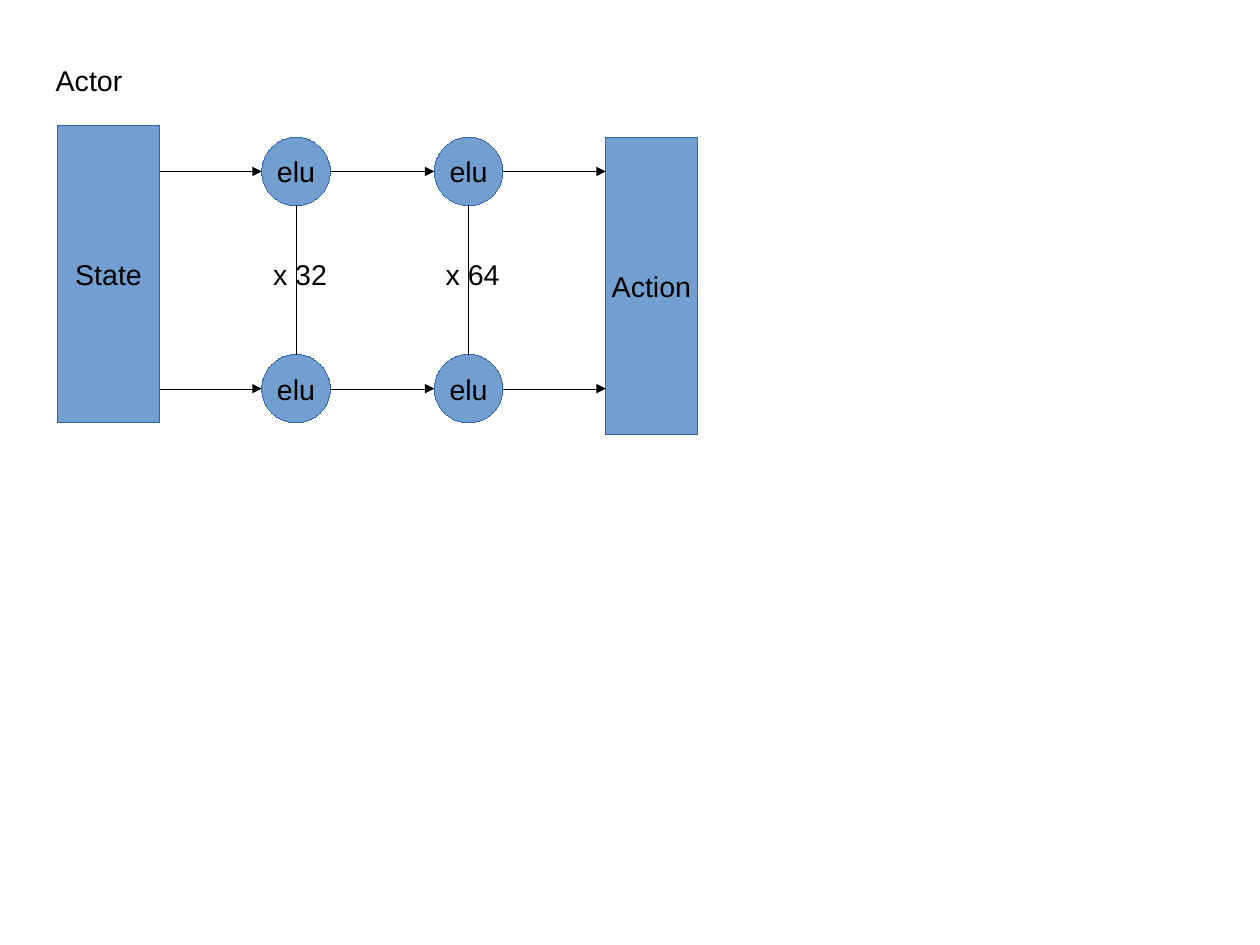
from pptx import Presentation
from pptx.dml.color import RGBColor
from pptx.enum import shapes, text
from pptx.oxml import parse_xml
from pptx.oxml.ns import nsdecls
from pptx.util import Pt

PAGE = (793.7, 595.28)
TITLE = ("Actor", (28, 36, 57, 27.36))
STATE = ("State", (36, 79.2, 64.8, 187.2))
ACTION = ("Action", (381.6, 86.4, 57.6, 187.2))
LAYERS = [("x 32", 164.88), ("x 64", 273.6)]  # label, left edge
NODE = "elu"
ROWS = (108, 244.8)  # centre heights of the nodes
SIZE = 43.2
LABEL_TOP, LABEL_W, LABEL_H = 158.4, 58.32, 27.36

THEME = {
    "font": "Arial", "size": 18,
    "ink": RGBColor(0, 0, 0),
    "fill": RGBColor(0x72, 0x9F, 0xCF),
    "edge": RGBColor(0x34, 0x65, 0xA4),
}
RECT = shapes.MSO_SHAPE.RECTANGLE
OVAL = shapes.MSO_SHAPE.OVAL

deck = Presentation()
deck.slide_width, deck.slide_height = [Pt(n) for n in PAGE]
items = deck.slides.add_slide(deck.slide_layouts[6]).shapes


def trace(item, color):
    """Give an item a hairline; the width is written out to beat the style."""
    item.line.color.rgb = color
    item._element.spPr.ln.set("w", "0")


def write(words, box, kind=None, wrap=False):
    """Add a filled shape of the given kind, or a text box if there is none."""
    area = [Pt(n) for n in box]
    if kind is None:
        item = items.add_textbox(*area)
    else:
        item = items.add_shape(kind, *area)
        item.shadow.inherit = False
        item.fill.solid()
        item.fill.fore_color.rgb = THEME["fill"]
        trace(item, THEME["edge"])
    frame = item.text_frame
    frame.word_wrap = wrap
    para = frame.paragraphs[0]
    if kind is None:
        frame.auto_size = text.MSO_AUTO_SIZE.SHAPE_TO_FIT_TEXT
    else:
        frame.vertical_anchor = text.MSO_ANCHOR.MIDDLE
        para.alignment = text.PP_ALIGN.CENTER
    run = para.add_run()
    run.text = words
    run.font.name = THEME["font"]
    run.font.size = Pt(THEME["size"])
    run.font.color.rgb = THEME["ink"]


def link(x1, y1, x2, y2, arrow=False):
    line = items.add_connector(shapes.MSO_CONNECTOR.STRAIGHT,
                               Pt(x1), Pt(y1), Pt(x2), Pt(y2))
    trace(line, THEME["ink"])
    props = line._element.spPr
    if arrow:
        props.ln.append(parse_xml(f'<a:tailEnd {nsdecls("a")} type="triangle"/>'))
    props.append(parse_xml(f'<a:effectLst {nsdecls("a")}/>'))


write(*TITLE)
write(*STATE, kind=RECT)
for label, left in LAYERS:
    for mid in ROWS:
        write(NODE, (left, mid - SIZE / 2, SIZE, SIZE), kind=OVAL)
    axis = left + SIZE / 2
    link(axis, ROWS[0] + SIZE / 2, axis, ROWS[1] - SIZE / 2)
    write(label, (left, LABEL_TOP, LABEL_W, LABEL_H), wrap=True)
write(*ACTION, kind=RECT)

# Each stage spans (left, right); arrows bridge the gaps between stages.
stages = [(STATE[1][0], STATE[1][0] + STATE[1][2])]
stages += [(left, left + SIZE) for _, left in LAYERS]
stages += [(ACTION[1][0], ACTION[1][0] + ACTION[1][2])]
for (_, start), (end, _) in zip(stages, stages[1:]):
    for mid in ROWS:
        link(start, mid, end, mid, arrow=True)

deck.save("out.pptx")
